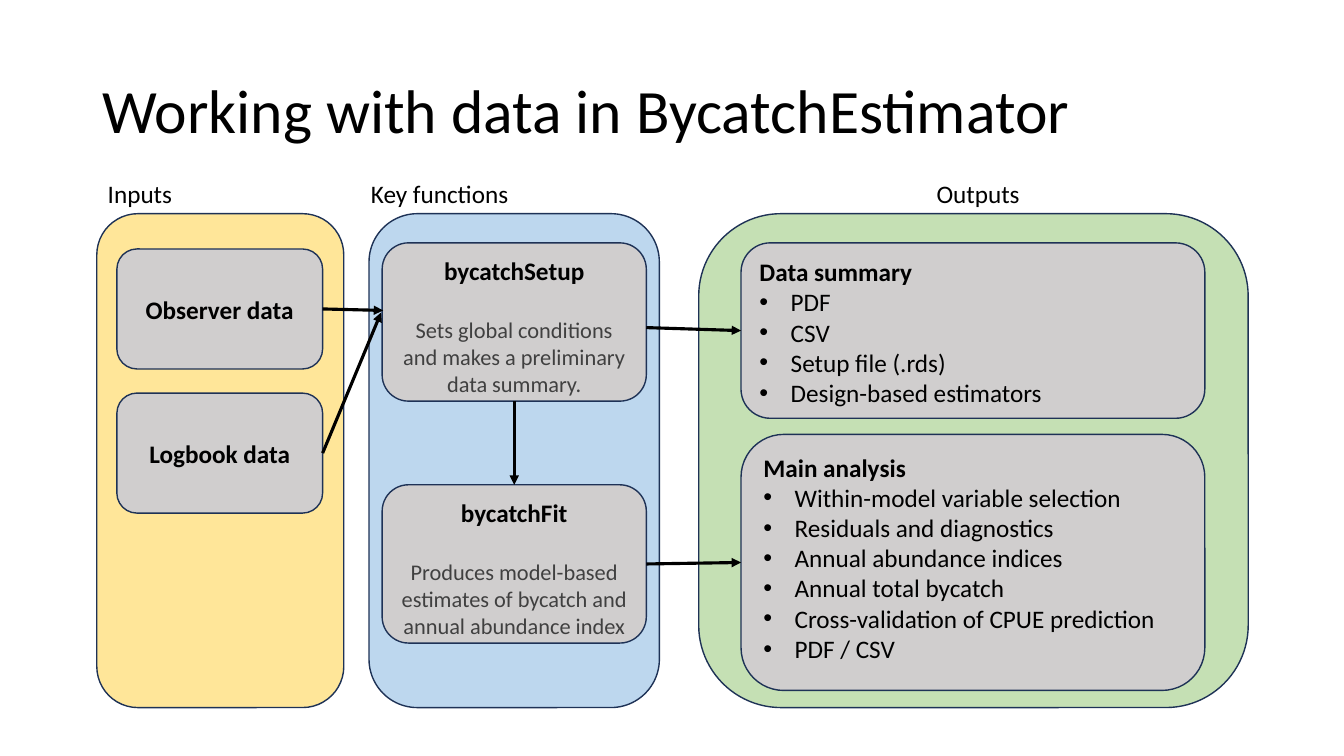
from lxml import etree
from pptx import Presentation
from pptx.dml.color import RGBColor
from pptx.enum.shapes import MSO_CONNECTOR, MSO_SHAPE
from pptx.enum.text import MSO_ANCHOR, PP_ALIGN
from pptx.oxml.ns import qn
from pptx.util import Inches, Pt

ROUND = MSO_SHAPE.ROUNDED_RECTANGLE
STRAIGHT = MSO_CONNECTOR.STRAIGHT
TOP, MIDDLE = MSO_ANCHOR.TOP, MSO_ANCHOR.MIDDLE
LEFT, CENTER = PP_ALIGN.LEFT, PP_ALIGN.CENTER
NORTH, WEST, SOUTH, EAST = range(4)

FONT = "Calibri"
COLORS = {
    "text": "000000",
    "note": "404040",
    "edge": "1E3256",
    "card": "D0CECE",
    "input": "FFE699",
    "key": "BDD7EE",
    "output": "C5E0B4",
}


def color(name):
    return RGBColor.from_string(COLORS[name])


def write(frame, text, size=18, bold=False, tone="text", align=LEFT,
          before=0, line=None, bullet=False):
    para = frame.paragraphs[0]
    if para.runs:
        para = frame.add_paragraph()
    para.alignment = align
    para.space_before = Pt(before)
    if line:
        para.line_spacing = line
    run = para.add_run()
    run.text = text
    run.font.name = FONT
    run.font.size = Pt(size)
    run.font.bold = bold
    run.font.color.rgb = color(tone)
    if bullet:
        props = para._p.get_or_add_pPr()
        props.set("marL", str(Inches(0.31)))
        props.set("indent", str(-Inches(0.31)))
        etree.SubElement(props, qn("a:buFont"), typeface="Arial")
        etree.SubElement(props, qn("a:buChar"), char="•")


class Board:
    def __init__(self, slide):
        self.shapes = slide.shapes

    def label(self, x, y, w, h, text, anchor=TOP, **style):
        box = self.shapes.add_textbox(Inches(x), Inches(y), Inches(w), Inches(h))
        frame = box.text_frame
        frame.word_wrap = True
        frame.vertical_anchor = anchor
        write(frame, text, **style)

    def panel(self, x, y, w, h, fill, anchor=TOP):
        box = self.shapes.add_shape(ROUND, Inches(x), Inches(y), Inches(w), Inches(h))
        box.shadow.inherit = False
        box.fill.solid()
        box.fill.fore_color.rgb = color(fill)
        box.line.color.rgb = color("edge")
        box.line.width = Pt(1)
        box.text_frame.word_wrap = True
        box.text_frame.vertical_anchor = anchor
        return box

    def source(self, y, name):
        box = self.panel(1.16, y, 2.04, 1.19, "card", MIDDLE)
        write(box.text_frame, name, bold=True, align=CENTER)
        return box

    def step(self, y, name, note):
        box = self.panel(3.79, y, 2.62, 1.57, "card")
        write(box.text_frame, name, bold=True, align=CENTER)
        write(box.text_frame, note, size=16, tone="note", align=CENTER, before=22)
        return box

    def result(self, y, h, name, items):
        box = self.panel(7.35, y, 4.6, h, "card")
        write(box.text_frame, name, bold=True)
        for item in items:
            write(box.text_frame, item, bullet=True)
        return box

    def arrow(self, start, end):
        link = self.shapes.add_connector(STRAIGHT, 0, 0, 0, 0)
        if isinstance(start[0], float):
            link.begin_x, link.begin_y = map(Inches, start)
        else:
            link.begin_connect(*start)
        if isinstance(end[0], float):
            link.end_x, link.end_y = map(Inches, end)
        else:
            link.end_connect(*end)
        link.line.color.rgb = color("text")
        link.line.width = Pt(2.25)
        etree.SubElement(link.line._get_or_add_ln(), qn("a:tailEnd"), type="triangle")
        etree.SubElement(link._element.spPr, qn("a:effectLst"))


def main():
    deck = Presentation()
    deck.slide_width, deck.slide_height = Inches(13.33), Inches(7.5)
    board = Board(deck.slides.add_slide(deck.slide_layouts[6]))

    board.label(0.92, 0.4, 11.5, 1.45, "Working with data in BycatchEstimator",
                anchor=MIDDLE, size=44, line=0.9)

    groups = [
        ("Inputs", 0.97, 0.96, 2.45, "input"),
        ("Key functions", 3.58, 3.66, 2.88, "key"),
        ("Outputs", 9.19, 6.93, 5.45, "output"),
    ]
    for name, at, x, w, fill in groups:
        board.panel(x, 2.12, w, 4.9, fill)
        board.label(at, 1.72, 2.48, 0.4, name)

    watch = board.source(2.47, "Observer data")
    log = board.source(3.9, "Logbook data")
    setup = board.step(2.41, "bycatchSetup",
                       "Sets global conditions and makes a preliminary data summary.")
    fit = board.step(4.81, "bycatchFit",
                     "Produces model-based estimates of bycatch and annual abundance index")
    brief = board.result(2.41, 1.74, "Data summary", [
        "PDF",
        "CSV",
        "Setup file (.rds)",
        "Design-based estimators",
    ])
    study = board.result(4.31, 2.54, "Main analysis", [
        "Within-model variable selection",
        "Residuals and diagnostics",
        "Annual abundance indices",
        "Annual total bycatch",
        "Cross-validation of CPUE prediction",
        "PDF / CSV",
    ])

    board.arrow((watch, EAST), (3.8, 3.08))
    board.arrow((log, EAST), (3.78, 3.1))
    board.arrow((6.41, 3.25), (brief, WEST))
    board.arrow((setup, SOUTH), (fit, NORTH))
    board.arrow((fit, EAST), (study, WEST))

    deck.save("out.pptx")


if __name__ == "__main__":
    main()
